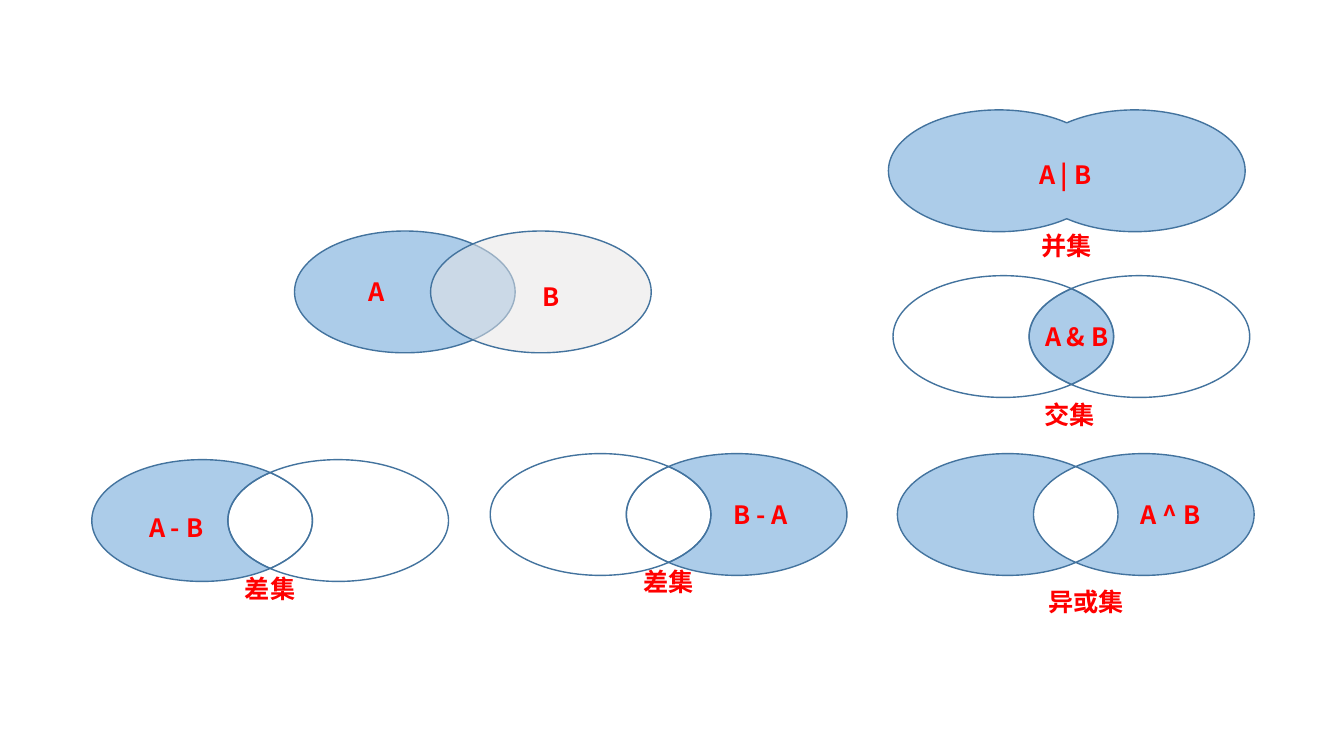
import math
from lxml import etree
from pptx import Presentation
from pptx import util as u
from pptx.dml.color import RGBColor
from pptx.enum import shapes, text
from pptx.oxml.ns import qn

BLUE, GREY, WHITE, EDGE, RED = "5B9BD5", "E7E6E6", "FFFFFF", "43739E", "FF0000"
FONT = "Noto Sans CJK SC"
RX, RY, HALF_GAP = 78.8, 43.5, 48.6
CROSS = math.degrees(math.acos(HALF_GAP / RX))


def paint(sp, color, opacity=50):
    sp.shadow.inherit = False
    sp.fill.solid()
    sp.fill.fore_color.rgb = RGBColor.from_string(color)
    clr = sp.fill._xPr.find(qn("a:solidFill"))[0]
    etree.SubElement(clr, qn("a:alpha"), val=str(opacity * 1000))
    sp.line.color.rgb = RGBColor.from_string(EDGE)
    sp.line.width = u.Pt(1)


def arc(offset, start, end):
    stops = [start] + [q for q in range(-360, 721, 90) if start < q < end] + [end]
    pts = [(math.cos(math.radians(start)), math.sin(math.radians(start)))]
    for t0, t1 in zip(map(math.radians, stops), map(math.radians, stops[1:])):
        k = 4 / 3 * math.tan((t1 - t0) / 4)
        pts += [(math.cos(t0) - k * math.sin(t0), math.sin(t0) + k * math.cos(t0)),
                (math.cos(t1) + k * math.sin(t1), math.sin(t1) - k * math.cos(t1)),
                (math.cos(t1), math.sin(t1))]
    return [(offset + RX * x, RY * y) for x, y in pts]


a_outer = arc(-HALF_GAP, CROSS, 360 - CROSS)
a_inner = arc(-HALF_GAP, -CROSS, CROSS)
b_outer = arc(HALF_GAP, 180 + CROSS, 540 - CROSS)
b_inner = arc(HALF_GAP, 180 - CROSS, 180 + CROSS)
union = a_outer + b_outer[1:]
lens = a_inner + b_inner[1:]
only_a = a_outer + b_inner[::-1][1:]
only_b = b_outer + a_inner[::-1][1:]

prs = Presentation()
prs.slide_width, prs.slide_height = u.Pt(960), u.Pt(540)
s = prs.slides.add_slide(prs.slide_layouts[6])

for cx, color, opacity in [(289.2, BLUE, 50), (289.2 + 2 * HALF_GAP, GREY, 53)]:
    sp = s.shapes.add_shape(shapes.MSO_SHAPE.OVAL, u.Pt(cx - RX), u.Pt(165),
                            u.Pt(2 * RX), u.Pt(2 * RY))
    paint(sp, color, opacity)

diagrams = [
    (762, 122, [([union], BLUE)]),
    (768.4, 367.5, [([only_a, only_b], BLUE)]),
    (765.3, 240.4, [([lens], BLUE), ([only_b], WHITE), ([only_a], WHITE)]),
    (193, 371.8, [([lens], WHITE), ([only_b], WHITE), ([only_a], BLUE)]),
    (477.6, 367.5, [([lens], WHITE), ([only_b], BLUE), ([only_a], WHITE)]),
]
for cx, cy, regions in diagrams:
    for outlines, color in regions:
        fb = None
        for outline in outlines:
            pts = [(u.Pt(cx + x), u.Pt(cy + y)) for x, y in outline]
            if fb is None:
                fb = s.shapes.build_freeform(*pts[0])
            else:
                fb.move_to(*pts[0])
            fb.add_line_segments(pts[1:], close=True)
        sp = fb.convert_to_shape()
        segments = list(sp._element.iter(qn("a:lnTo")))
        for curve, second, third in zip(segments[::3], segments[1::3], segments[2::3]):
            curve.tag = qn("a:cubicBezTo")
            for extra in (second, third):
                curve.append(extra[0])
                extra.getparent().remove(extra)
        paint(sp, color)

labels = [
    ("A", 256.3, 193.7, 26.6, False),
    ("B", 380.2, 197.3, 25.2, False),
    ("并集", 736.6, 160.6, 51.1, False),
    ("交集", 738.7, 281.5, 51.1, False),
    ("差集", 167.8, 406.1, 51.1, False),
    ("差集", 452.2, 401, 51.1, False),
    ("异或集", 741.6, 415.4, 69.1, False),
    ("A | B", 735.1, 110.2, 85, True),
    ("A & B", 739.4, 226.1, 85, True),
    ("A ^ B", 807.8, 352.8, 85, True),
    ("A - B", 99.4, 362.2, 85, True),
    ("B - A", 517, 352.8, 85, True),
]
for label, left, top, width, wrap in labels:
    tf = s.shapes.add_textbox(u.Pt(left), u.Pt(top), u.Pt(width), u.Pt(29)).text_frame
    tf.word_wrap = wrap
    tf.auto_size = text.MSO_AUTO_SIZE.SHAPE_TO_FIT_TEXT
    tf.text = label
    r = tf.paragraphs[0].runs[0]
    r.font.size = u.Pt(18)
    r.font.bold = True
    r.font.name = FONT
    r.font.color.rgb = RGBColor.from_string(RED)
    etree.SubElement(r.font._element, qn("a:ea"), typeface=FONT)

prs.save("out.pptx")
